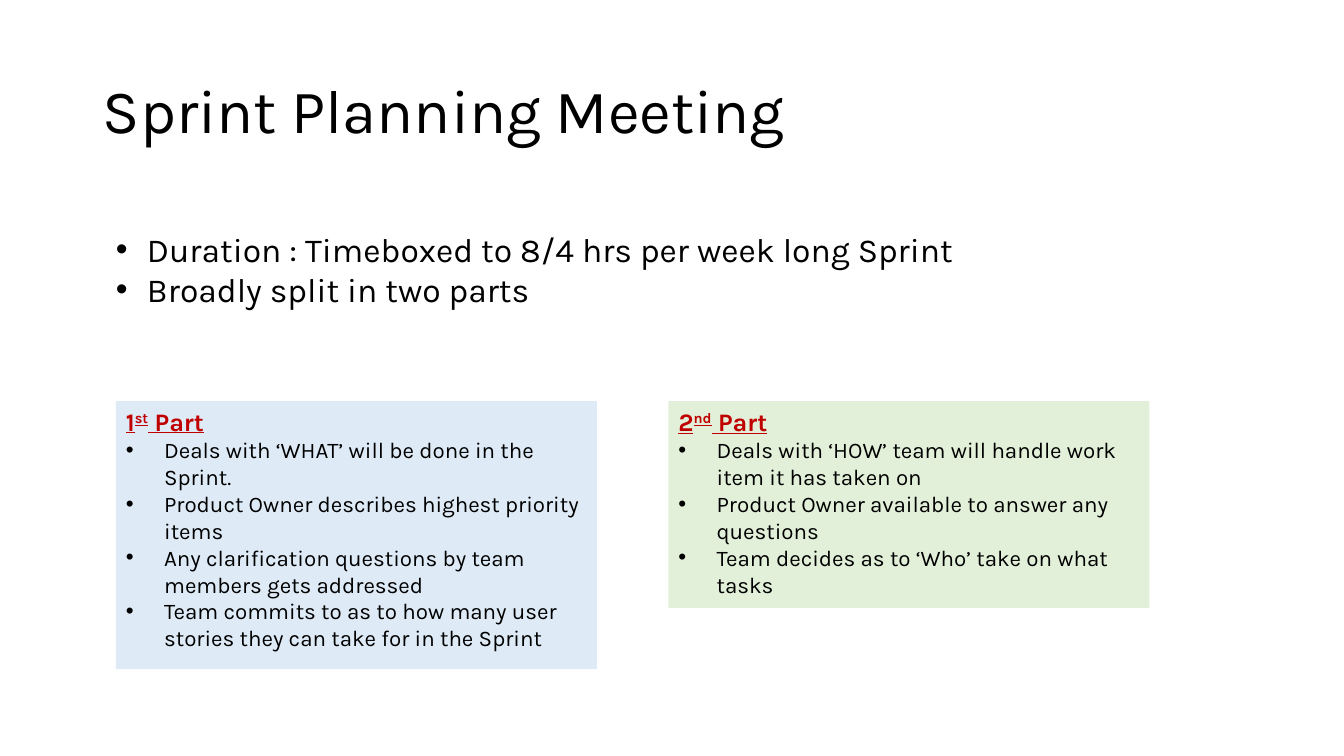
from dataclasses import dataclass

from lxml.etree import SubElement
from pptx import Presentation
from pptx.dml.color import RGBColor
from pptx.enum.shapes import MSO_SHAPE
from pptx.enum.text import MSO_ANCHOR, MSO_AUTO_SIZE, PP_ALIGN
from pptx.oxml.ns import qn
from pptx.slide import Slide
from pptx.text.text import TextFrame, _Paragraph as Paragraph
from pptx.util import Inches, Pt

FONT = "Karla"
BLACK = "000000"
RED = "C00000"
PART_TOP, PART_WIDTH = 3.98, 4.77


@dataclass(frozen=True)
class Part:
    left: float
    height: float
    fill: str
    number: str
    ordinal: str
    points: tuple[str, ...]


PARTS = (
    Part(1.15, 2.66, "DEEBF7", "1", "st", (
        "Deals with ‘WHAT’ will be done in the Sprint.",
        "Product Owner describes highest priority items",
        "Any clarification questions by team members gets addressed",
        "Team commits to as to how many user stories they can take for in the Sprint",
    )),
    Part(6.63, 2.05, "E2F0D9", "2", "nd", (
        "Deals with ‘HOW’ team will handle work item it has taken on",
        "Product Owner available to answer any questions",
        "Team decides as to ‘Who’ take on what tasks",
    )),
)
OVERVIEW = (
    "Duration : Timeboxed to 8/4 hrs per week long Sprint",
    "Broadly split in two parts",
)


def rgb(code: str) -> RGBColor:
    return RGBColor.from_string(code)


def add_text(paragraph: Paragraph, text: str, *, size: float, color: str = BLACK,
             bold: bool = False, underline: bool = False, raised: bool = False) -> None:
    run = paragraph.add_run()
    run.text = text
    font = run.font
    font.name, font.size = FONT, Pt(size)
    font.bold, font.underline = bold, underline
    font.color.rgb = rgb(color)
    if raised:
        run._r.get_or_add_rPr().set("baseline", "30000")


def set_bullet(paragraph: Paragraph, indent: float) -> None:
    properties = paragraph._p.get_or_add_pPr()
    properties.set("marL", str(Inches(indent)))
    properties.set("indent", str(-Inches(indent)))
    SubElement(properties, qn("a:buFont"), typeface="Arial")
    SubElement(properties, qn("a:buChar"), char="•")


def add_bullets(frame: TextFrame, points: tuple[str, ...], size: float, indent: float) -> None:
    """Fill the empty first paragraph, then append one paragraph per point."""
    for point in points:
        first = frame.paragraphs[0]
        paragraph = frame.add_paragraph() if first.runs else first
        paragraph.alignment = PP_ALIGN.LEFT
        set_bullet(paragraph, indent)
        add_text(paragraph, point, size=size)


def add_title(slide: Slide, text: str) -> None:
    title = slide.shapes.title
    title.left, title.top = Inches(0.92), Inches(0.4)
    title.width, title.height = Inches(11.5), Inches(1.45)
    frame = title.text_frame
    frame.vertical_anchor = MSO_ANCHOR.MIDDLE
    frame.auto_size = MSO_AUTO_SIZE.NONE
    heading = frame.paragraphs[0]
    heading.alignment = PP_ALIGN.LEFT
    heading.line_spacing = 0.9
    add_text(heading, text, size=44)


def add_overview(slide: Slide) -> None:
    box = slide.shapes.add_textbox(Inches(1.05), Inches(2.22), Inches(8.54), Inches(0.91))
    frame = box.text_frame
    frame.word_wrap = True
    frame.auto_size = MSO_AUTO_SIZE.SHAPE_TO_FIT_TEXT
    add_bullets(frame, OVERVIEW, size=24, indent=0.31)


def add_part(slide: Slide, part: Part) -> None:
    panel = slide.shapes.add_shape(
        MSO_SHAPE.RECTANGLE, Inches(part.left), Inches(PART_TOP),
        Inches(PART_WIDTH), Inches(part.height))
    panel.shadow.inherit = False
    panel.fill.solid()
    panel.fill.fore_color.rgb = rgb(part.fill)
    panel.line.fill.background()
    frame = panel.text_frame
    frame.word_wrap = True
    frame.auto_size = MSO_AUTO_SIZE.SHAPE_TO_FIT_TEXT
    frame.vertical_anchor = MSO_ANCHOR.TOP
    heading = frame.paragraphs[0]
    heading.alignment = PP_ALIGN.LEFT
    for text, raised in ((part.number, False), (part.ordinal, True), (" Part", False)):
        add_text(heading, text, size=18, color=RED, bold=True, underline=True, raised=raised)
    add_bullets(frame, part.points, size=16, indent=0.38)


def main() -> None:
    deck = Presentation()
    deck.slide_width, deck.slide_height = Inches(13.33), Inches(7.5)
    slide = deck.slides.add_slide(deck.slide_layouts.get_by_name("Title Only"))
    add_title(slide, "Sprint Planning Meeting")
    add_overview(slide)
    for part in PARTS:
        add_part(slide, part)
    deck.save("out.pptx")


if __name__ == "__main__":
    main()
